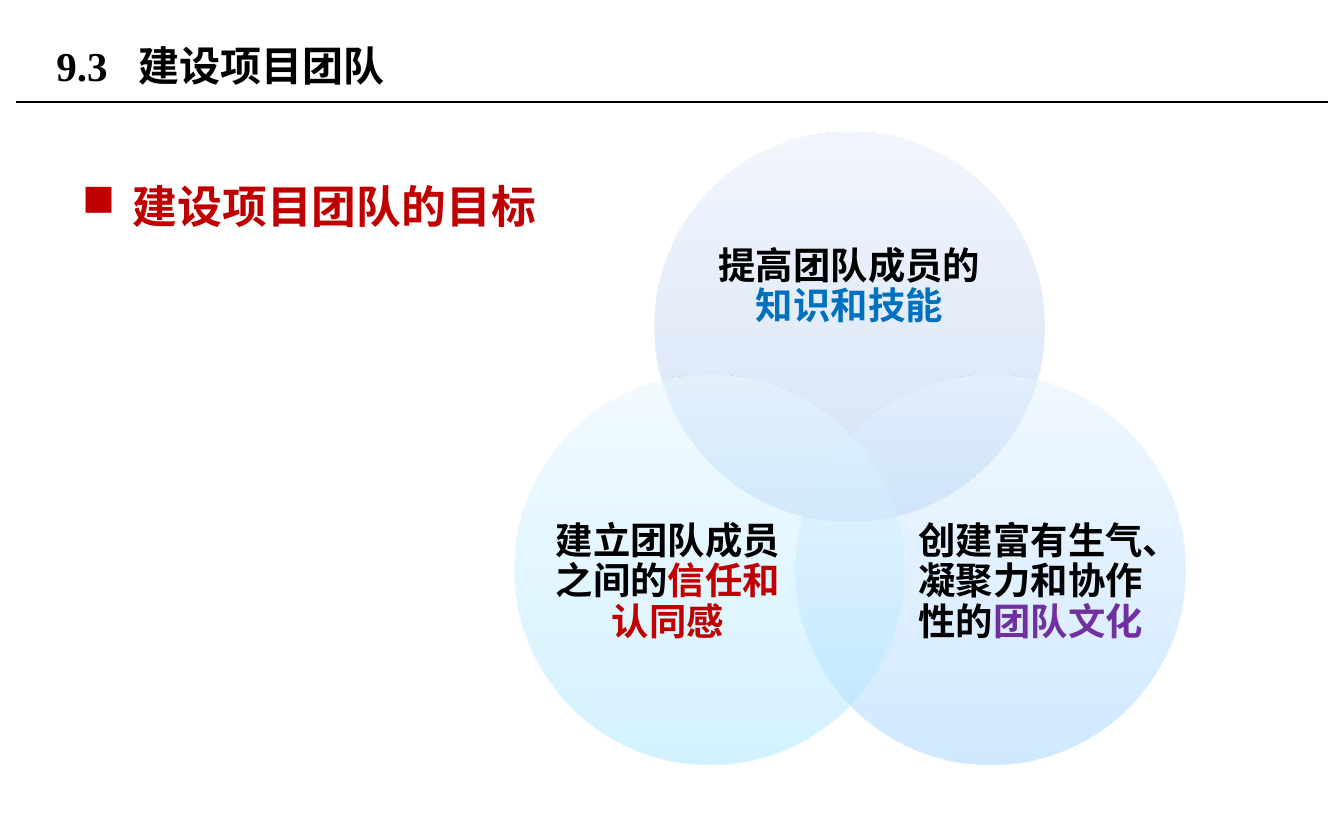
from lxml.etree import SubElement
from pptx import Presentation
from pptx.dml.color import RGBColor
from pptx.enum.shapes import MSO_CONNECTOR, MSO_SHAPE
from pptx.enum.text import MSO_ANCHOR, MSO_AUTO_SIZE, PP_ALIGN
from pptx.oxml.ns import qn
from pptx.util import Inches, Pt

FONT = "Times New Roman"
BLACK = RGBColor(0x00, 0x00, 0x00)
RED = RGBColor(0xC0, 0x00, 0x00)
BLUE = RGBColor(0x00, 0x70, 0xC0)
PURPLE = RGBColor(0x70, 0x30, 0xA0)

HEADING = "9.3\t建设项目团队"
TOPIC = "建设项目团队的目标"
DIAMETER = 2.9
STOPS = (0, 35, 100)
OPACITY = 50
GOALS = [
    {"circle": (4.87, 0.98), "label": (5.26, 1.49, 2.12, 1.3),
     "shades": ("A6C4F1", "C1D5F4", "E7EFFC"),
     "text": "提高团队成员的", "key": "知识和技能", "color": BLUE},
    {"circle": (5.92, 2.79), "label": (6.8, 3.54, 1.74, 1.59),
     "shades": ("A0D4FF", "BCE0FF", "E5F3FF"),
     "text": "创建富有生气、凝聚力和协作性的", "key": "团队文化", "color": PURPLE},
    {"circle": (3.83, 2.79), "label": (4.1, 3.54, 1.74, 1.59),
     "shades": ("A7E6FF", "C1EDFF", "E7F8FF"),
     "text": "建立团队成员之间的", "key": "信任和认同感", "color": RED},
]


def set_font(paragraph, size, color):
    font = paragraph.font
    font.name, font.size, font.bold = FONT, Pt(size), True
    font.color.rgb = color


def add_text_frame(slide, box):
    frame = slide.shapes.add_textbox(*map(Inches, box)).text_frame
    frame.word_wrap = True
    return frame


def add_title(slide):
    title = slide.shapes.title
    title.left, title.top, title.width, title.height = map(Inches, (0.32, 0.13, 7.28, 0.71))
    frame = title.text_frame
    frame.auto_size = MSO_AUTO_SIZE.NONE
    frame.vertical_anchor = MSO_ANCHOR.MIDDLE
    heading = frame.paragraphs[0]
    heading.text = HEADING
    heading.alignment = PP_ALIGN.LEFT
    tabs = SubElement(heading._p.get_or_add_pPr(), qn("a:tabLst"))
    SubElement(tabs, qn("a:tab"), pos=str(Inches(0.61)), algn="l")
    set_font(heading, 22, BLACK)


def add_rule(slide):
    rule = slide.shapes.add_connector(
        MSO_CONNECTOR.STRAIGHT, *map(Inches, (0.12, 0.76, 9.88, 0.76)))
    rule.line.color.rgb = BLACK
    rule.line.width = Pt(0.75)
    SubElement(rule._element.spPr, qn("a:effectLst"))


def add_topic(slide):
    topic = add_text_frame(slide, (0.51, 1.08, 8.98, 3.9)).paragraphs[0]
    topic.text = TOPIC
    topic.line_spacing = 1.5
    props = topic._p.get_or_add_pPr()
    props.set("marL", str(Inches(0.38)))
    props.set("indent", str(-Inches(0.38)))
    SubElement(props, qn("a:buChar"), char="■")
    set_font(topic, 24, RED)


def add_circle(slide, goal):
    circle = slide.shapes.add_shape(
        MSO_SHAPE.OVAL, *map(Inches, (*goal["circle"], DIAMETER, DIAMETER)))
    circle.shadow.inherit = False
    circle.line.fill.background()
    circle.fill.gradient()
    circle.fill.gradient_angle = 90
    stops = circle._element.spPr.find(".//" + qn("a:gsLst"))
    for old in list(stops):
        stops.remove(old)
    for position, shade in zip(STOPS, goal["shades"]):
        stop = SubElement(stops, qn("a:gs"), pos=str(position * 1000))
        color = SubElement(stop, qn("a:srgbClr"), val=shade)
        SubElement(color, qn("a:alpha"), val=str(OPACITY * 1000))


def add_label(slide, goal):
    frame = add_text_frame(slide, goal["label"])
    frame.margin_left = frame.margin_right = frame.margin_top = frame.margin_bottom = 0
    frame.vertical_anchor = MSO_ANCHOR.MIDDLE
    label = frame.paragraphs[0]
    label.alignment = PP_ALIGN.CENTER
    label.line_spacing = 0.9
    set_font(label, 20, BLACK)
    label.add_run().text = goal["text"]
    key = label.add_run()
    key.text = goal["key"]
    key.font.color.rgb = goal["color"]


def main():
    deck = Presentation()
    deck.slide_width, deck.slide_height = Inches(10), Inches(6.25)
    slide = deck.slides.add_slide(deck.slide_layouts[5])
    add_rule(slide)
    add_title(slide)
    add_topic(slide)
    for goal in GOALS:
        add_circle(slide, goal)
        add_label(slide, goal)
    deck.save("out.pptx")


if __name__ == "__main__":
    main()
